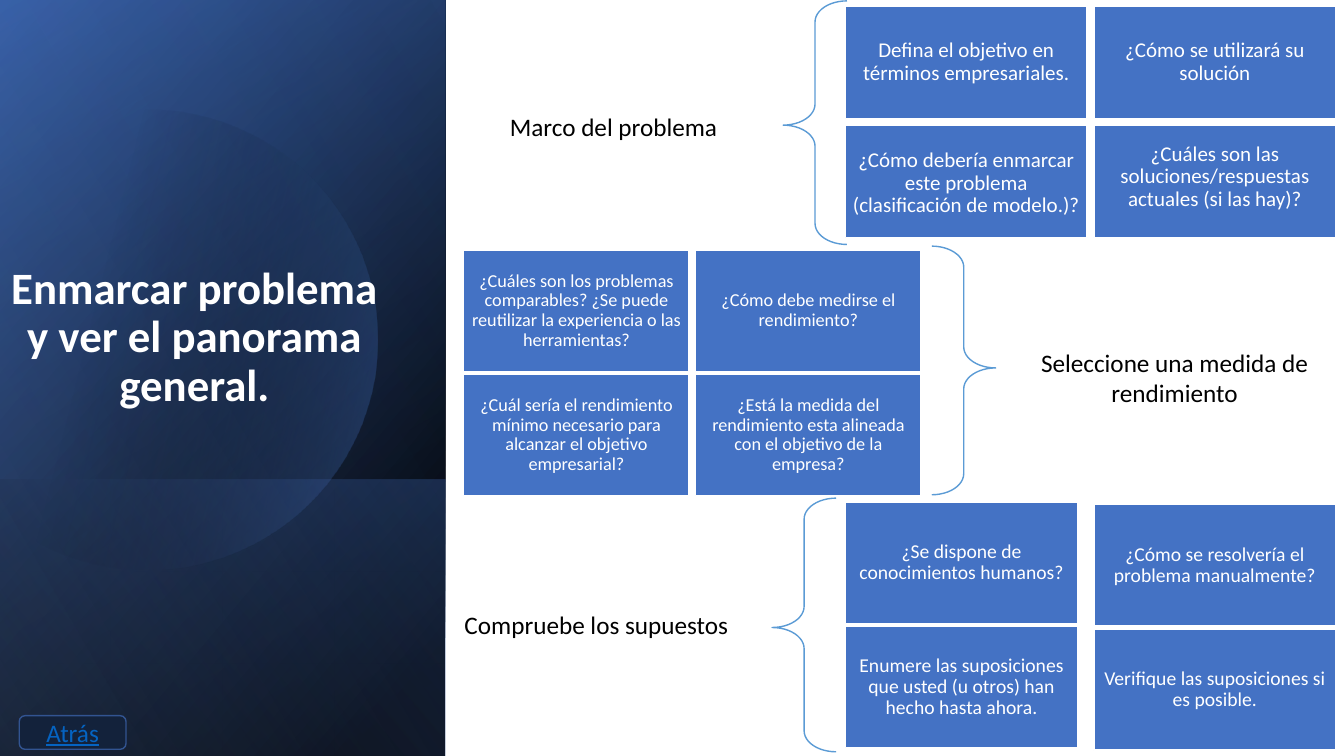
"""Builds the slide on framing a problem and seeing the big picture."""
import math

from lxml import etree
from pptx import Presentation
from pptx import util as u
from pptx.dml.color import RGBColor
from pptx.enum import shapes, text
from pptx.oxml.ns import nsdecls, qn

CELL = u.Inches(7.5) / 9
WHITE = RGBColor(0xFF, 0xFF, 0xFF)
BLACK = RGBColor(0, 0, 0)
BLUE = RGBColor(0x44, 0x72, 0xC4)
DEEP_BLUE = RGBColor(0x2F, 0x55, 0x97)
PALE_BLUE = RGBColor(0x8F, 0xAA, 0xDC)
BRACE_BLUE = RGBColor(0x5B, 0x9B, 0xD5)
BUTTON_FILL = RGBColor(0x13, 0x22, 0x3B)
BUTTON_LINE = RGBColor(0x32, 0x54, 0x91)
LINK_BLUE = RGBColor(0x05, 0x63, 0xC1)
CENTER = text.PP_ALIGN.CENTER
MIDDLE = text.MSO_ANCHOR.MIDDLE


def cells(*lengths):
    """Turn lengths on the 16 by 9 grid into EMU."""
    return [u.Emu(round(length * CELL)) for length in lengths]


def write(shape, words, size, color, align=CENTER, anchor=MIDDLE, spacing=1.0,
          bold=False, underline=False):
    """Put one formatted paragraph into a shape."""
    frame = shape.text_frame
    frame.word_wrap = True
    frame.auto_size = text.MSO_AUTO_SIZE.NONE
    frame.vertical_anchor = anchor
    paragraph = frame.paragraphs[0]
    paragraph.alignment = align
    paragraph.line_spacing = spacing
    run = paragraph.add_run()
    run.text = words
    font = run.font
    font.name, font.size, font.bold = "Calibri", u.Pt(size), bold
    font.underline = underline
    font.color.rgb = color


def paint(shape, fill=None, line=None):
    """Set solid fill and outline, or none, and remove the shadow."""
    shape.shadow.inherit = False
    if fill is None:
        shape.fill.background()
    else:
        shape.fill.solid()
        shape.fill.fore_color.rgb = fill
    if line is None:
        shape.line.fill.background()
    else:
        shape.line.color.rgb = line
        shape.line.width = u.Pt(1)


def paint_gradient(shape, stops, angle):
    """Fill a shape with a linear gradient of (position, colour, opacity) stops."""
    paint(shape)
    marks = "".join(
        f'<a:gs pos="{position * 1000}"><a:srgbClr val="{color}">'
        f'<a:alpha val="{opacity * 1000}"/></a:srgbClr></a:gs>'
        for position, color, opacity in stops)
    gradient = etree.fromstring(
        f'<a:gradFill {nsdecls("a")} rotWithShape="1"><a:gsLst>{marks}</a:gsLst>'
        f'<a:lin ang="{angle * 60000}" scaled="0"/></a:gradFill>')
    properties = shape.element.spPr
    properties.replace(properties.find(qn("a:noFill")), gradient)


def add_panel(slide, top, width, height, stops, angle):
    """Add a left panel lying on its side, so its gradient turns with it."""
    left = (width - height) / 2
    box = cells(left, top - left, height, width)
    panel = slide.shapes.add_shape(shapes.MSO_SHAPE.RECTANGLE, *box)
    panel.rotation = 90
    panel.element.spPr.find(qn("a:xfrm")).set("flipH", "1")
    paint_gradient(panel, stops, angle)


def add_disc(slide, x, y, radius, stops, angle):
    """Add a disc cut off by the left edge of the slide."""
    reach = math.acos(-x / radius)
    turns = [reach * (step / 60 - 1) for step in range(121)]
    points = [cells(x + radius * math.cos(turn), y + radius * math.sin(turn))
              for turn in turns]
    builder = slide.shapes.build_freeform(*points[0])
    builder.add_line_segments(points[1:], close=True)
    paint_gradient(builder.convert_to_shape(), stops, angle)


def add_card(slide, box, words, size, inset, lift):
    """Add a blue card; lift raises its text by that many points."""
    card = slide.shapes.add_shape(shapes.MSO_SHAPE.RECTANGLE, *cells(*box))
    paint(card, BLUE, WHITE)
    write(card, words, size, WHITE, spacing=0.9)
    frame = card.text_frame
    frame.margin_left = frame.margin_right = u.Inches(inset)
    frame.margin_top = u.Inches(inset) + u.Pt(max(0, -2 * lift))
    frame.margin_bottom = u.Inches(inset) + u.Pt(max(0, 2 * lift))


def add_cards(slide, left, top, width, height, questions, columns=2, size=14,
              inset=0.06, row_gap=0.04, column_gap=0.08, lifts=(0, 0, 0, 0)):
    """Lay questions out as rows of equal cards."""
    for index, (words, lift) in enumerate(zip(questions, lifts)):
        row, column = divmod(index, columns)
        box = (left + column * (width + column_gap),
               top + row * (height + row_gap), width, height)
        add_card(slide, box, words, size, inset, lift)


def add_brace(slide, left, top, height, rotation=0):
    """Add a curly brace beside a group of cards."""
    brace = slide.shapes.add_shape(
        shapes.MSO_SHAPE.RIGHT_BRACE, *cells(left, top, 0.76, height))
    brace.rotation = rotation
    brace.adjustments[0], brace.adjustments[1] = 0.33, 0.49
    paint(brace, line=BRACE_BLUE)


def add_label(slide, words, box, align=text.PP_ALIGN.LEFT):
    """Add the heading of a group."""
    label = slide.shapes.add_textbox(*cells(*box))
    write(label, words, 18, BLACK, align, text.MSO_ANCHOR.TOP)


def add_title(slide, words, box):
    """Place the title above the panels and format it."""
    title = slide.shapes.title
    title.left, title.top, title.width, title.height = cells(*box)
    title.element.getparent().append(title.element)
    write(title, words, 32, WHITE, anchor=text.MSO_ANCHOR.BOTTOM, spacing=0.9, bold=True)


def add_button(slide, words, box):
    """Add the rounded navigation button."""
    button = slide.shapes.add_shape(
        shapes.MSO_SHAPE.ROUNDED_RECTANGLE, *cells(*box))
    paint(button, BUTTON_FILL, BUTTON_LINE)
    write(button, words, 18, LINK_BLUE, underline=True)


def main():
    """Build and save the slide."""
    presentation = Presentation()
    presentation.slide_width, presentation.slide_height = u.Inches(13.33), u.Inches(7.5)
    slide = presentation.slides.add_slide(presentation.slide_layouts[5])

    add_panel(slide, 0, 5.3, 9, [(8, BLACK, 100), (100, DEEP_BLUE, 100)], 50)
    add_panel(slide, 0, 5.3, 9, [(0, BLACK, 0), (99, BLUE, 46)], 30)
    add_panel(slide, 5.71, 5.3, 3.29, [(2, BLUE, 29), (100, BLACK, 30)], 130)
    add_disc(slide, 1.75, 4.04, 2.74, [(29, BLACK, 0), (100, BLUE, 43)], 14)
    add_panel(slide, 0, 5.3, 9, [(0, BLACK, 0), (99, PALE_BLUE, 11)], 120)
    add_title(slide, "Enmarcar problema y ver el panorama general.",
              (0, 3.08, 4.63, 1.87))

    add_cards(slide, 10.06, 0.07, 2.88, 1.34, [
        "Defina el objetivo en términos empresariales.",
        "¿Cómo se utilizará su solución",
        "¿Cómo debería enmarcar este problema (clasificación de modelo.)?",
        "¿Cuáles son las soluciones/respuestas actuales (si las hay)?",
    ], size=15, row_gap=0.08, lifts=(0, 0, -1.5, 3))
    add_cards(slide, 5.52, 2.98, 2.68, 1.44, [
        "¿Cuáles son los problemas comparables? ¿Se puede reutilizar la "
        "experiencia o las herramientas?",
        "¿Cómo debe medirse el rendimiento?",
        "¿Cuál sería el rendimiento mínimo necesario para alcanzar el "
        "objetivo empresarial?",
        "¿Está la medida del rendimiento esta alineada con el objetivo de "
        "la empresa?",
    ], size=13, inset=0.05)
    add_cards(slide, 10.06, 5.98, 2.77, 1.44, [
        "¿Se dispone de conocimientos humanos?",
        "Enumere las suposiciones que usted (u otros) han hecho hasta ahora.",
    ], columns=1)
    add_cards(slide, 13.02, 6.01, 2.88, 1.44, [
        "¿Cómo se resolvería el problema manualmente?",
        "Verifique las suposiciones si es posible.",
    ], columns=1)

    add_brace(slide, 11.09, 2.93, 2.96)
    add_brace(slide, 9.32, 0.01, 2.9, rotation=180)
    add_brace(slide, 9.19, 5.93, 3.02, rotation=180)
    add_label(slide, "Marco del problema", (5.95, 1.27, 3.2, 0.48))
    add_label(slide, "Seleccione una medida de rendimiento",
              (12.17, 4.07, 3.62, 0.85), CENTER)
    add_label(slide, "Compruebe los supuestos", (5.41, 7.2, 3.52, 0.48))
    add_button(slide, "Atrás", (0.23, 8.52, 1.27, 0.4))
    presentation.save("out.pptx")


if __name__ == "__main__":
    main()
